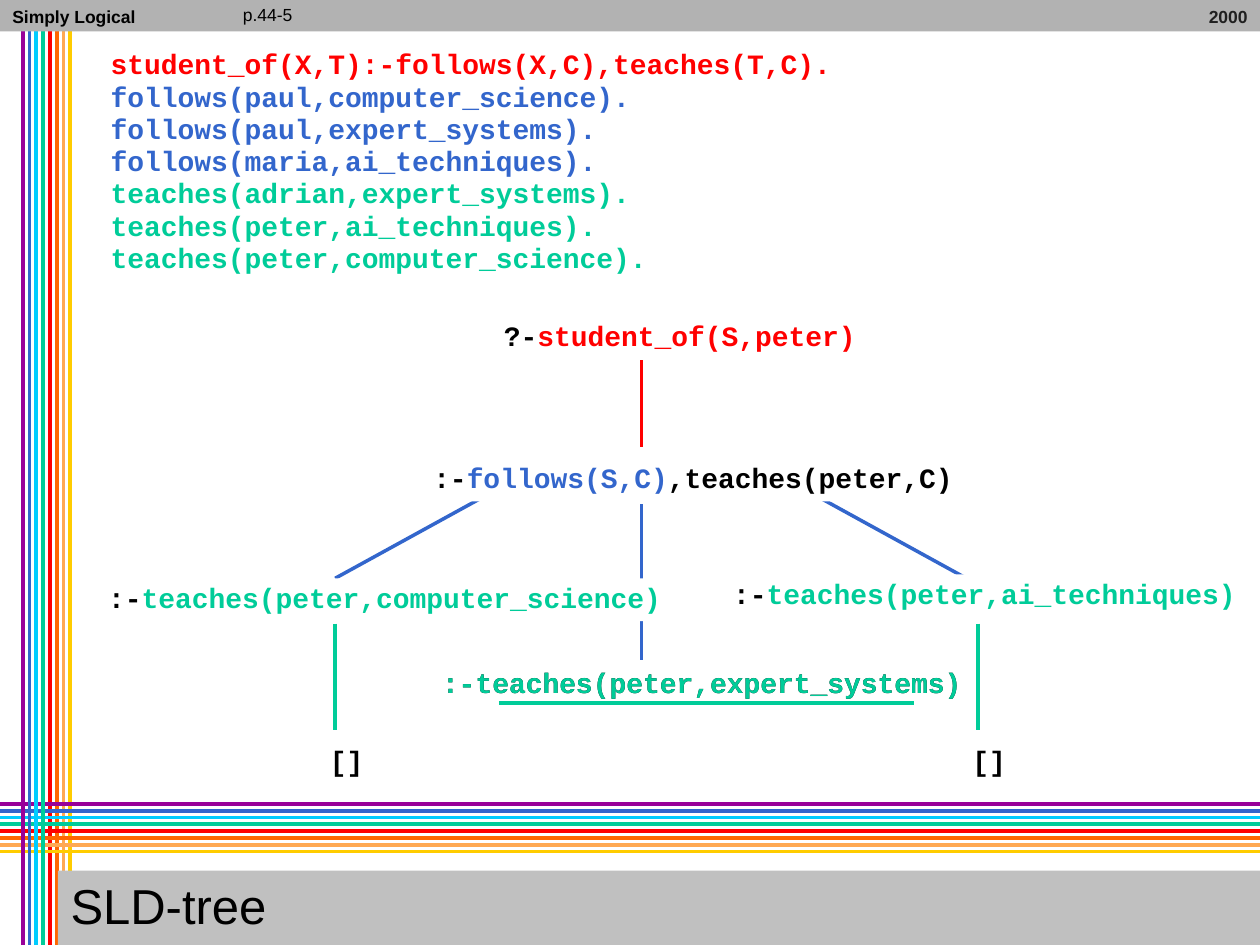
from lxml import etree
from pptx import Presentation
from pptx import util as u
from pptx.dml.color import RGBColor
from pptx.enum import shapes, text
from pptx.oxml import ns

BLACK, WHITE = RGBColor(0, 0, 0), RGBColor(255, 255, 255)
CHARCOAL = RGBColor(0x20, 0x20, 0x20)
BAR_GREY, TITLE_GREY = RGBColor(0xB2, 0xB2, 0xB2), RGBColor(0xC0, 0xC0, 0xC0)
PURPLE, BLUE = RGBColor(0x99, 0, 0x99), RGBColor(0x33, 0x66, 0xCC)
CYAN, GREEN = RGBColor(0, 0xCC, 0xFF), RGBColor(0, 0xCC, 0x99)
RED, ORANGE = RGBColor(255, 0, 0), RGBColor(255, 0x66, 0)
PEACH, YELLOW = RGBColor(255, 0xA9, 0x53), RGBColor(255, 0xCC, 0)
RAINBOW = [PURPLE, BLUE, CYAN, GREEN, RED, ORANGE, PEACH, YELLOW]

SANS, MONO = "Arial", "Courier New"
COLUMNS, ROWS = 100, 75
STRIPE_GAP = 0.54


def write(frame, spans, font=MONO, size=16, bold=True, align=text.PP_ALIGN.LEFT,
          anchor=text.MSO_ANCHOR.TOP, wrap=False, spacing=0.9, gap=0):
    """Fill a text frame with (words, colour) spans; newlines become line breaks."""
    frame.word_wrap = wrap
    frame.auto_size = text.MSO_AUTO_SIZE.NONE
    frame.vertical_anchor = anchor
    para = frame.paragraphs[0]
    para.alignment, para.line_spacing = align, spacing
    para.space_before = para.space_after = u.Pt(gap)
    for words, colour in spans:
        for number, line in enumerate(words.split("\n")):
            if number:
                para.add_line_break()
            if line:
                span = para.add_run()
                span.text = line
                span.font.name, span.font.size, span.font.bold = font, u.Pt(size), bold
                span.font.color.rgb = colour


class Slide:
    """The current page, measured on a grid of COLUMNS by ROWS."""

    def __init__(self, deck):
        self.page = deck.slides.add_slide(deck.slide_layouts[5])
        self.cell_width = deck.slide_width / COLUMNS
        self.cell_height = deck.slide_height / ROWS

    def place(self, *cells):
        sizes = (self.cell_width, self.cell_height) * 2
        return [round(cell * size) for cell, size in zip(cells, sizes)]

    def line(self, x1, y1, x2, y2, colour, width=2):
        line = self.page.shapes.add_connector(
            shapes.MSO_CONNECTOR.STRAIGHT, *self.place(x1, y1, x2, y2))
        line.line.color.rgb, line.line.width = colour, u.Pt(width)
        etree.SubElement(line._element.spPr, ns.qn("a:effectLst"))

    def panel(self, area, fill):
        panel = self.page.shapes.add_shape(
            shapes.MSO_SHAPE.RECTANGLE, *self.place(*area))
        panel.shadow.inherit = False
        panel.fill.solid()
        panel.fill.fore_color.rgb = fill
        panel.line.fill.background()
        return panel

    def label(self, area, spans, **style):
        box = self.page.shapes.add_textbox(*self.place(*area))
        write(box.text_frame, spans, **style)

    def goal(self, area, spans):
        write(self.panel(area, WHITE).text_frame, spans)

    def title(self, area, words, fill):
        title = self.page.shapes.title
        title.left, title.top, title.width, title.height = self.place(*area)
        title.fill.solid()
        title.fill.fore_color.rgb = fill
        write(title.text_frame, [(words, BLACK)], font=SANS, size=28, bold=False,
              anchor=text.MSO_ANCHOR.MIDDLE, wrap=True)
        self.page.shapes._spTree.append(title._element)  # in front of the stripes


def draw_frame(slide):
    # Rainbow stripes: the cool uprights pass over the level ones, the warm under
    def uprights(first, last):
        for number in range(first, last):
            x = 1.8 + number * STRIPE_GAP
            slide.line(x, 0, x, ROWS, RAINBOW[number], 2.25)

    uprights(4, 8)
    for number, colour in enumerate(RAINBOW):
        y = 63.8 + number * STRIPE_GAP
        slide.line(COLUMNS, y, 0, y, colour, 2.25)
    uprights(0, 4)

    # Header bar and title
    slide.panel((0, 0, COLUMNS, 2.5), BAR_GREY)
    header = dict(font=SANS, size=10)
    slide.label((18.3, 0, 7.6, 2.5), [("p.44-5", BLACK)], bold=False, **header)
    slide.label((0, 0, 20, 2.5), [("Simply Logical", BLACK)],
                wrap=True, spacing=1.0, **header)
    slide.label((73, 0, 27, 2.5), [("2000", CHARCOAL)], wrap=True, spacing=1.0,
                align=text.PP_ALIGN.RIGHT, **header)
    slide.title((4.6, 69.1, 95.4, 6), "SLD-tree", TITLE_GREY)


def draw_program(slide):
    slide.label((7.8, 3.4, 59.2, 18.9), [
        ("student_of(X,T):-follows(X,C),teaches(T,C).\n", RED),
        ("follows(paul,computer_science).\nfollows(paul,expert_systems).\n"
         "follows(maria,ai_techniques).\n", BLUE),
        ("teaches(adrian,expert_systems).\nteaches(peter,ai_techniques).\n"
         "teaches(peter,computer_science).", GREEN),
    ], wrap=True, spacing=0.96, gap=9.5)


def draw_tree(slide):
    # Branches, behind the goals
    middle, left, right = 50.9, 26.6, 77.6
    slide.line(middle, 28.6, middle, 35.5, RED)
    slide.line(76.7, 45.9, 64.5, 39.2, BLUE)
    slide.line(middle, 40, middle, 52.4, BLUE)
    slide.line(left, 45.9, 38.8, 39.2, BLUE)

    # Goals
    slide.goal((39, 25.1, 29.9, 3.4), [("?-", BLACK), ("student_of(S,peter)", RED)])
    slide.goal((33.4, 36.4, 43.2, 3.4), [
        (":-", BLACK), ("follows(S,C)", BLUE), (",teaches(peter,C)", BLACK)])
    slide.goal((7.6, 45.9, 45.9, 3.4), [
        (":-", BLACK), ("teaches(peter,computer_science)", GREEN)])
    slide.goal((57.2, 45.6, 41.9, 3.4), [
        (":-", BLACK), ("teaches(peter,ai_techniques)", GREEN)])

    # Failing goal: green over black gives the letters a dark edge
    for colour in (BLACK, GREEN):
        slide.label((34.1, 52.6, 43.2, 3.4),
                    [(":-teaches(peter,expert_systems)", colour)])
    slide.line(39.6, 55.8, 72.5, 55.8, GREEN)

    # Successful leaves
    for x, leaf in ((left, 25.2), (right, 76.2)):
        slide.line(x, 49.5, x, 57.9, GREEN)
        slide.label((leaf, 58.8, 4.6, 3.4), [("[]", BLACK)])


def main():
    deck = Presentation()
    deck.slide_width, deck.slide_height = u.Inches(10), u.Inches(7.5)
    slide = Slide(deck)
    draw_frame(slide)
    draw_program(slide)
    draw_tree(slide)
    deck.save("out.pptx")


if __name__ == "__main__":
    main()
